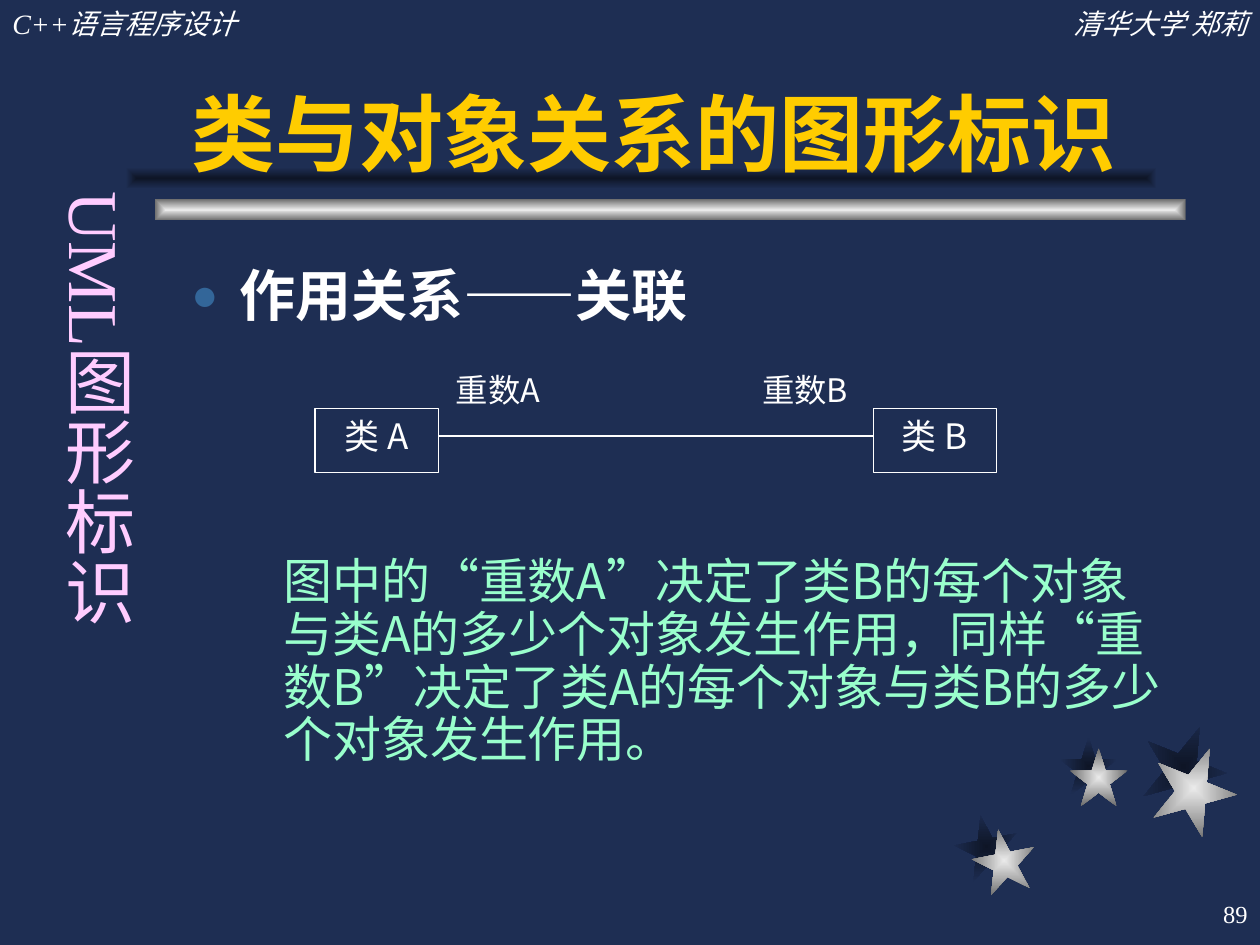
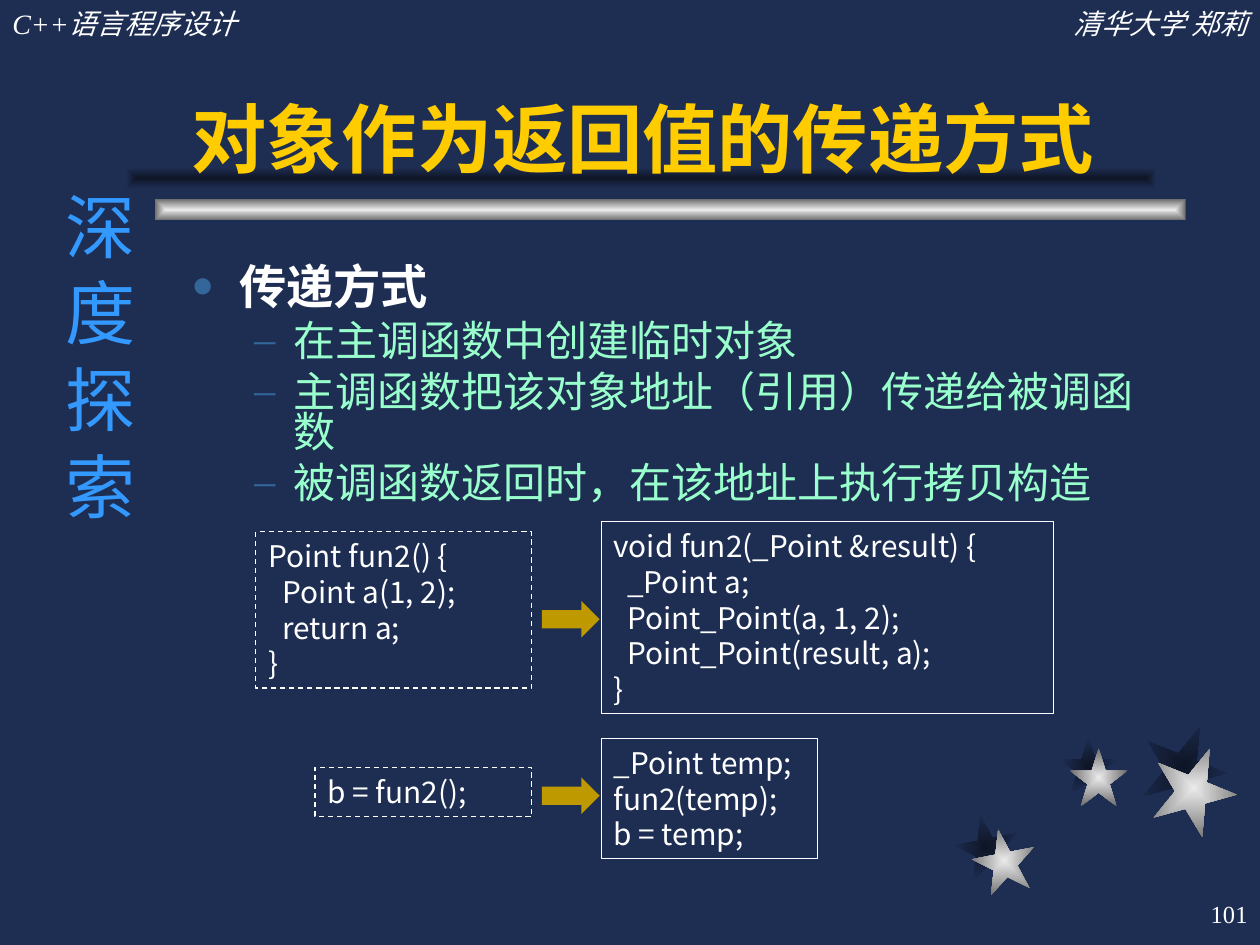
from dataclasses import dataclass
from typing import Optional

from lxml.etree import SubElement
from pptx import Presentation
from pptx.dml.color import RGBColor
from pptx.enum.dml import MSO_LINE
from pptx.enum.shapes import MSO_CONNECTOR, MSO_SHAPE
from pptx.enum.text import MSO_ANCHOR, MSO_AUTO_SIZE, PP_ALIGN
from pptx.oxml.ns import qn
from pptx.util import Inches, Pt

NAVY = RGBColor(0x1E, 0x2E, 0x53)
DARK = RGBColor(0x0E, 0x15, 0x26)
SILVER = RGBColor(0xEA, 0xEA, 0xEA)
GRAY = RGBColor(0x6C, 0x6C, 0x6C)
WHITE = RGBColor(0xFF, 0xFF, 0xFF)
GOLD = RGBColor(0xFF, 0xCC, 0x00)
OCHRE = RGBColor(0xBF, 0x99, 0x00)
STEEL = RGBColor(0x33, 0x66, 0x99)
MINT = RGBColor(0x99, 0xFF, 0xCC)
PINK = RGBColor(0xFF, 0xCC, 0xFF)
BLUE = RGBColor(0x33, 0x99, 0xFF)

SANS = "Noto Sans CJK SC"
SERIF = "Times New Roman"
HEAD = "Arial"


@dataclass(frozen=True)
class Box:
    left: float
    top: float
    width: float
    height: float

    def place(self) -> tuple:
        return tuple(Inches(v) for v in (self.left, self.top, self.width, self.height))


@dataclass(frozen=True)
class Style:
    size: float
    color: RGBColor = WHITE
    face: str = SANS
    bold: bool = False
    italic: bool = False
    align: PP_ALIGN = PP_ALIGN.LEFT
    line: Optional[float] = None
    before: float = 0
    margin: float = 0
    hang: float = 0
    bullet: str = ""
    scale: int = 100


@dataclass(frozen=True)
class Star:
    box: Box
    shade: Box
    turn: int


@dataclass(frozen=True)
class Code:
    box: Box
    lines: tuple
    dashed: bool


STARS = (
    Star(Box(7.72, 6.58, 0.5, 0.5), Box(7.58, 6.47, 0.5, 0.5), 349),
    Star(Box(8.49, 5.94, 0.46, 0.46), Box(8.41, 5.85, 0.46, 0.46), 0),
    Star(Box(9.14, 5.92, 0.67, 0.67), Box(9.06, 5.75, 0.67, 0.67), 22),
)
CODES = (
    Code(Box(2.03, 4.22, 2.19, 1.24),
         ("Point fun2() {", "\tPoint a(1, 2);", "\treturn a;", "}"), True),
    Code(Box(4.77, 4.14, 3.59, 1.52),
         ("void fun2(_Point &result) {", "\t_Point a;", "\tPoint_Point(a, 1, 2);",
          "\tPoint_Point(result, a);", "}"), False),
    Code(Box(2.5, 6.09, 1.72, 0.39), ("b = fun2();",), True),
    Code(Box(4.77, 5.86, 1.72, 0.95),
         ("_Point temp;", "fun2(temp);", "b = temp;"), False),
)
POINTS = (
    "在主调函数中创建临时对象",
    "主调函数把该对象地址（引用）传递给被调函数",
    "被调函数返回时，在该地址上执行拷贝构造",
)


def format_para(para, style: Style) -> None:
    props = para._p.get_or_add_pPr()
    props.set("marL", str(Inches(style.margin)))
    props.set("indent", str(Inches(style.hang)))
    if style.bullet:
        tint = SubElement(props, qn("a:buClr"))
        SubElement(tint, qn("a:srgbClr"), val=str(STEEL))
        SubElement(props, qn("a:buSzPct"), val=str(style.scale * 1000))
        SubElement(props, qn("a:buFont"), typeface=SERIF)
        SubElement(props, qn("a:buChar"), char=style.bullet)
    else:
        SubElement(props, qn("a:buNone"))
    para.alignment = style.align
    para.space_before = Pt(style.before)
    if style.line:
        para.line_spacing = style.line
    font = para.font
    font.size, font.bold, font.italic = Pt(style.size), style.bold, style.italic
    font.color.rgb, font.name = style.color, style.face
    SubElement(font._element, qn("a:ea"), typeface=SANS)


def write(frame, items: list) -> None:
    frame.word_wrap = True
    frame.auto_size = MSO_AUTO_SIZE.NONE
    for i, (text, style) in enumerate(items):
        para = frame.add_paragraph() if i else frame.paragraphs[0]
        para.text = text
        format_para(para, style)


def add_text(slide, box: Box, *items: tuple):
    frame = slide.shapes.add_textbox(*box.place()).text_frame
    write(frame, list(items))
    return frame


def add_shape(slide, kind: MSO_SHAPE, box: Box):
    shape = slide.shapes.add_shape(kind, *box.place())
    shape.shadow.inherit = False
    shape.line.fill.background()
    return shape


def add_glow(slide, kind: MSO_SHAPE, box: Box, inner: RGBColor,
             outer: RGBColor, turn: int = 0) -> None:
    shape = add_shape(slide, kind, box)
    shape.rotation = turn
    shape.fill.gradient()
    for stop, color in zip(shape.fill.gradient_stops, (inner, outer)):
        stop.color.rgb = color
    grad = shape._element.spPr.find(qn("a:gradFill"))
    grad.remove(grad.find(qn("a:lin")))
    route = SubElement(grad, qn("a:path"), {"path": "rect"})
    SubElement(route, qn("a:fillToRect"), dict.fromkeys("ltrb", "50000"))


def add_frame(slide, box: Box, weight: float, items: list, dashed: bool = False) -> None:
    shape = add_shape(slide, MSO_SHAPE.RECTANGLE, box)
    shape.fill.background()
    shape.line.color.rgb = WHITE
    shape.line.width = Pt(weight)
    if dashed:
        shape.line.dash_style = MSO_LINE.DASH
    shape.text_frame.vertical_anchor = MSO_ANCHOR.TOP
    write(shape.text_frame, items)


def add_base(deck, title: str, size: float, number: int):
    slide = deck.slides.add_slide(deck.slide_layouts[5])
    for star in STARS:
        add_glow(slide, MSO_SHAPE.STAR_5_POINT, star.shade, DARK, NAVY, star.turn)
    for star in STARS:
        add_glow(slide, MSO_SHAPE.STAR_5_POINT, star.box, SILVER, GRAY, star.turn)
    add_glow(slide, MSO_SHAPE.RECTANGLE, Box(1.23, 1.58, 8.18, 0.17), SILVER, GRAY)
    add_glow(slide, MSO_SHAPE.RECTANGLE, Box(1, 1.33, 8.18, 0.17), DARK, NAVY)
    for left, text, align in ((0, "C++语言程序设计", PP_ALIGN.LEFT),
                              (6.92, "清华大学 郑莉", PP_ALIGN.RIGHT)):
        add_text(slide, Box(left, 0, 3.08, 0.37),
                 (text, Style(16, face=SERIF, italic=True, align=align, before=10)))
    page = add_text(slide, Box(7.92, 7, 2.08, 0.5),
                    (str(number), Style(14, face=SERIF, align=PP_ALIGN.RIGHT)))
    page.vertical_anchor = MSO_ANCHOR.MIDDLE

    head = slide.shapes.title
    head.left, head.top, head.width, head.height = Box(1.42, 0.25, 7.83, 1.25).place()
    write(head.text_frame, [(title, Style(size, GOLD, HEAD, bold=True))])
    head.text_frame.vertical_anchor = MSO_ANCHOR.BOTTOM
    head._element.getparent().append(head._element)
    return slide


def add_side(slide, text: str, color: RGBColor, align: PP_ALIGN) -> None:
    frame = add_text(slide, Box(0.3, 1.42, 0.86, 5.17),
                     (text, Style(40, color, SERIF, align=align)))
    frame.margin_left = frame.margin_right = Inches(0.05)
    frame.margin_top = frame.margin_bottom = Inches(0.1)
    frame._txBody.bodyPr.set("vert", "eaVert")


def add_link(slide) -> None:
    wire = slide.shapes.add_connector(MSO_CONNECTOR.STRAIGHT, Inches(3.48),
                                      Inches(3.46), Inches(6.93), Inches(3.46))
    wire.line.color.rgb = WHITE
    wire.line.width = Pt(0.75)
    SubElement(wire._element.spPr, qn("a:effectLst"))


def build_uml(deck) -> None:
    slide = add_base(deck, "类与对象关系的图形标识", 48, 89)
    add_text(slide, Box(1.42, 2.08, 7.92, 0.7),
             ("作用关系——关联", Style(32, bold=True, line=0.9, before=8, margin=0.38,
                                hang=-0.38, bullet="●", scale=80)))
    add_text(slide, Box(1.42, 4.37, 7.92, 2.2),
             ("图中的“重数A”决定了类B的每个对象与类A的多少个对象发生作用，"
              "同样“重数B”决定了类A的每个对象与类B的多少个对象发生作用。",
              Style(28, MINT, line=0.9, before=7, margin=0.73)))
    for name, left, note in (("A", 2.5, 3.52), ("B", 6.93, 5.95)):
        add_frame(slide, Box(left, 3.24, 0.98, 0.51), 0.75,
                  [(f"类 {name}", Style(20, align=PP_ALIGN.CENTER))])
        add_text(slide, Box(note, 2.92, 0.98, 0.54),
                 (f"重数{name}", Style(18.5, align=PP_ALIGN.JUSTIFY, line=0.9)))
    add_link(slide)
    add_side(slide, "UML图形标识", PINK, PP_ALIGN.LEFT)


def build_return(deck) -> None:
    slide = add_base(deck, "对象作为返回值的传递方式", 43, 101)
    lead = Style(27, face=HEAD, bold=True, line=0.8, before=6.8, margin=0.38,
                 hang=-0.38, bullet="●", scale=80)
    point = Style(24, MINT, HEAD, line=0.8, before=6, margin=0.81, hang=-0.31, bullet="–")
    add_text(slide, Box(1.42, 2.08, 7.92, 2.06), ("传递方式", lead),
             *((text, point) for text in POINTS))
    add_side(slide, "深 度 探 索", BLUE, PP_ALIGN.CENTER)
    for code in CODES:
        items = [(line.strip(), Style(17, margin=0.11 if line[0] == "\t" else 0))
                 for line in code.lines]
        add_frame(slide, code.box, 0.75 if code.dashed else 0.25, items, code.dashed)
    for top in (4.77, 6.17):
        arrow = add_shape(slide, MSO_SHAPE.RIGHT_ARROW, Box(4.3, top, 0.46, 0.29))
        arrow.fill.solid()
        arrow.fill.fore_color.rgb = OCHRE


def main() -> None:
    deck = Presentation()
    deck.slide_width, deck.slide_height = Inches(10), Inches(7.5)
    back = deck.slide_master.background.fill
    back.solid()
    back.fore_color.rgb = NAVY
    build_uml(deck)
    build_return(deck)
    deck.save("out.pptx")


if __name__ == "__main__":
    main()
